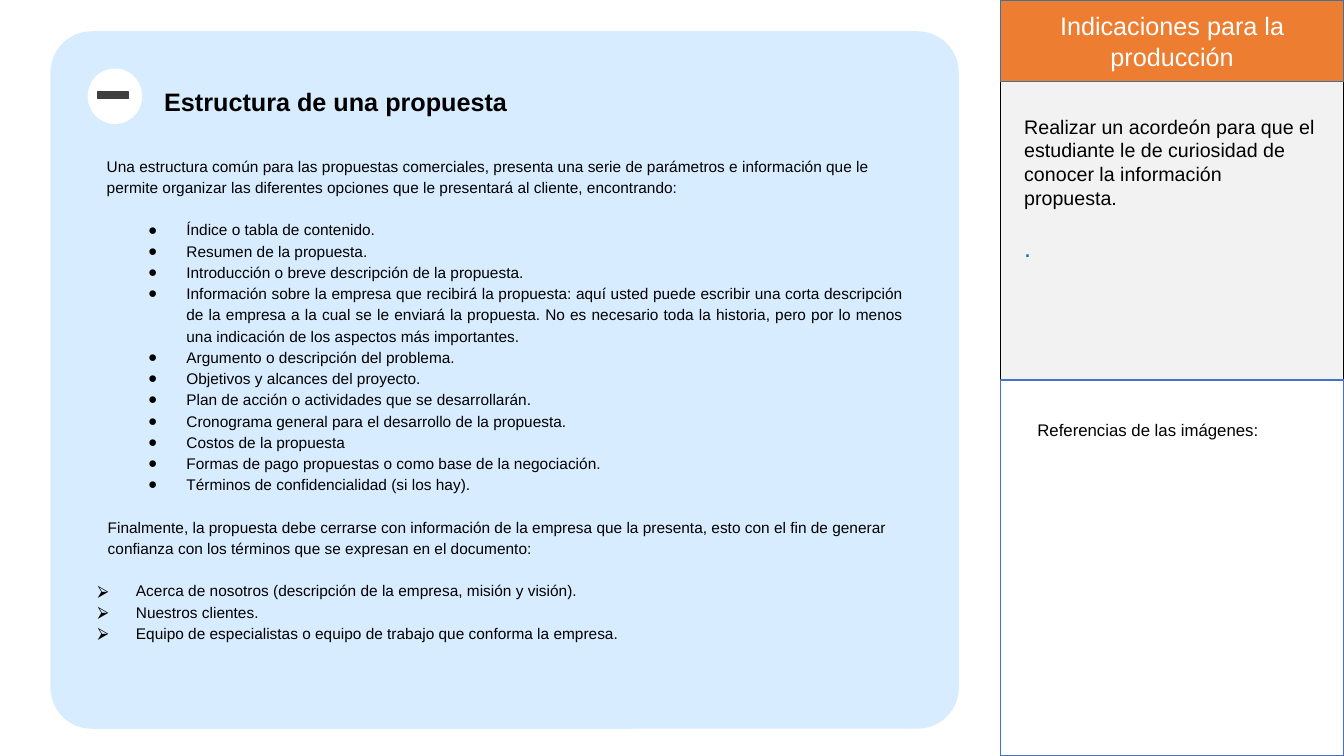
import pptx
import pptx.dml.color
import pptx.enum.shapes
import pptx.enum.text
import pptx.oxml.ns
import pptx.util
from lxml import etree

Inches, Pt = pptx.util.Inches, pptx.util.Pt
RGBColor = pptx.dml.color.RGBColor
SHAPE = pptx.enum.shapes.MSO_SHAPE
ALIGN = pptx.enum.text.PP_ALIGN
ANCHOR = pptx.enum.text.MSO_ANCHOR
AUTO_SIZE = pptx.enum.text.MSO_AUTO_SIZE

BLACK = RGBColor(0x00, 0x00, 0x00)
WHITE = RGBColor(0xFF, 0xFF, 0xFF)
PALE_BLUE = RGBColor(0xD8, 0xEC, 0xFF)
CHARCOAL = RGBColor(0x3F, 0x3F, 0x3F)
LIGHT_GREY = RGBColor(0xF2, 0xF2, 0xF2)
ORANGE = RGBColor(0xED, 0x7D, 0x31)
STEEL_BLUE = RGBColor(0x42, 0x71, 0x9B)
BLUE = RGBColor(0x44, 0x72, 0xC4)
DOT_BLUE = RGBColor(0x00, 0x70, 0xC0)

FONT = "Arial"
BODY_LINE = 15.2

INTRO = (
    "Una estructura común para las propuestas comerciales, presenta una serie de "
    "parámetros e información que le permite organizar las diferentes opciones que "
    "le presentará al cliente, encontrando:"
)
SECTIONS = [
    "Índice o tabla de contenido.",
    "Resumen de la propuesta.",
    "Introducción o breve descripción de la propuesta.",
    "Información sobre la empresa que recibirá la propuesta: aquí usted puede escribir "
    "una corta descripción de la empresa a la cual se le enviará la propuesta. No es "
    "necesario toda la historia, pero por lo menos una indicación de los aspectos más "
    "importantes.",
    "Argumento o descripción del problema.",
    "Objetivos y alcances del proyecto.",
    "Plan de acción o actividades que se desarrollarán.",
    "Cronograma general para el desarrollo de la propuesta.",
    "Costos de la propuesta",
    "Formas de pago propuestas o como base de la negociación.",
    "Términos de confidencialidad (si los hay).",
]
CLOSING = (
    "Finalmente, la propuesta debe cerrarse con información de la empresa que la "
    "presenta, esto con el fin de generar confianza con los términos que se expresan "
    "en el documento:"
)
COMPANY_ITEMS = [
    "Acerca de nosotros (descripción de la empresa, misión y visión).",
    "Nuestros clientes.",
    "Equipo de especialistas o equipo de trabajo que conforma la empresa.",
]
INSTRUCTIONS = (
    "Realizar un acordeón para que el estudiante le de curiosidad de conocer la "
    "información propuesta."
)


def add_shape(shapes, kind, left, top, width, height, fill, line=None, adjust=None):
    shape = shapes.add_shape(
        kind, Inches(left), Inches(top), Inches(width), Inches(height)
    )
    shape.shadow.inherit = False
    shape.fill.solid()
    shape.fill.fore_color.rgb = fill
    if line is None:
        shape.line.fill.background()
    else:
        shape.line.color.rgb = line
        shape.line.width = Pt(1)
    if adjust is not None:
        shape.adjustments[0] = adjust
    return shape


def add_text_box(page, left, top, width, height, grow=True):
    box = page.shapes.add_textbox(
        Inches(left), Inches(top), Inches(width), Inches(height)
    )
    box.text_frame.word_wrap = True
    if grow:
        box.text_frame.auto_size = AUTO_SIZE.SHAPE_TO_FIT_TEXT
    return box


def set_bullet(properties, bullet):
    color = etree.SubElement(properties, pptx.oxml.ns.qn("a:buClr"))
    etree.SubElement(color, pptx.oxml.ns.qn("a:srgbClr"), val=str(BLACK))
    etree.SubElement(properties, pptx.oxml.ns.qn("a:buFont"), typeface=FONT)
    etree.SubElement(properties, pptx.oxml.ns.qn("a:buChar"), char=bullet)


def add_para(box, text, size=11, color=BLACK, bold=False, align=ALIGN.LEFT,
             spacing=None, before=0, after=0, margin=0, indent=0, level=0, bullet=None):
    """Write text into the empty first paragraph of box, or into a new one."""
    frame = box.text_frame
    para = frame.paragraphs[0]
    if para.runs:
        para = frame.add_paragraph()
    para.alignment = align
    para.level = level
    para.space_before, para.space_after = Pt(before), Pt(after)
    if spacing:
        para.line_spacing = spacing
    properties = para._p.get_or_add_pPr()
    properties.set("marL", str(Inches(margin)))
    properties.set("indent", str(Inches(indent)))
    if bullet:
        set_bullet(properties, bullet)
    span = para.add_run()
    span.text = text
    span.font.name, span.font.size = FONT, Pt(size)
    span.font.bold, span.font.color.rgb = bold, color


def add_content_card(page, left, top, width, height):
    group = page.shapes.add_group_shape().shapes
    add_shape(group, SHAPE.ROUNDED_RECTANGLE, left, top, width, height,
              PALE_BLUE, adjust=0.059)
    add_shape(group, SHAPE.OVAL, left + 0.37, top + 0.37, 0.54, 0.55, WHITE)
    add_shape(group, SHAPE.MATH_MINUS, left + 0.41, top + 0.5, 0.42, 0.27,
              CHARCOAL, CHARCOAL, adjust=0.235)

    title = add_text_box(page, left + 1.03, top + 0.45, 4.36, 0.42)
    add_para(title, "Estructura de una propuesta", size=18, bold=True,
             align=ALIGN.JUSTIFY, spacing=1.15)

    body = add_text_box(page, left + 0.37, top + 1.17, 8.19, 5.17)
    add_para(body, INTRO, spacing=1.15, margin=0.09, after=BODY_LINE)
    for section in SECTIONS:
        add_para(body, section, spacing=1.15, align=ALIGN.JUSTIFY, level=1,
                 margin=0.88, indent=-0.38, bullet="●")
    add_para(body, CLOSING, spacing=1.15, margin=0.1,
             before=BODY_LINE, after=BODY_LINE)
    for item in COMPANY_ITEMS:
        add_para(body, item, spacing=1.15, margin=0.38, indent=-0.38, bullet="⮚")


def add_production_sidebar(page, left, top, width, height):
    add_shape(page.shapes, SHAPE.RECTANGLE, left, top, width, height,
              LIGHT_GREY, BLACK)
    instructions = add_text_box(page, left + 0.14, top + 1.09, width - 0.28, 2.48,
                                grow=False)
    add_para(instructions, INSTRUCTIONS, size=14)
    add_para(instructions, ".", size=18, color=DOT_BLUE, align=ALIGN.JUSTIFY,
             before=16.8)

    header = add_shape(page.shapes, SHAPE.RECTANGLE, left, top, width, 0.81,
                       ORANGE, STEEL_BLUE)
    header.text_frame.word_wrap = True
    header.text_frame.vertical_anchor = ANCHOR.MIDDLE
    add_para(header, "Indicaciones para la producción", size=18, color=WHITE,
             align=ALIGN.CENTER)

    references_top = top + 3.77
    add_shape(page.shapes, SHAPE.RECTANGLE, left, references_top, width,
              top + height - references_top, WHITE, BLUE)
    references = add_text_box(page, left + 0.27, references_top + 0.34, 2.88, 0.45)
    add_para(references, "Referencias de las imágenes:", size=12)


def main():
    deck = pptx.Presentation()
    deck.slide_width, deck.slide_height = Inches(13.33), Inches(7.5)
    page = deck.slides.add_slide(deck.slide_layouts[6])
    add_content_card(page, 0.5, 0.31, 9.01, 6.92)
    add_production_sidebar(page, 9.92, 0, 3.41, 7.5)
    deck.save("out.pptx")


if __name__ == "__main__":
    main()
